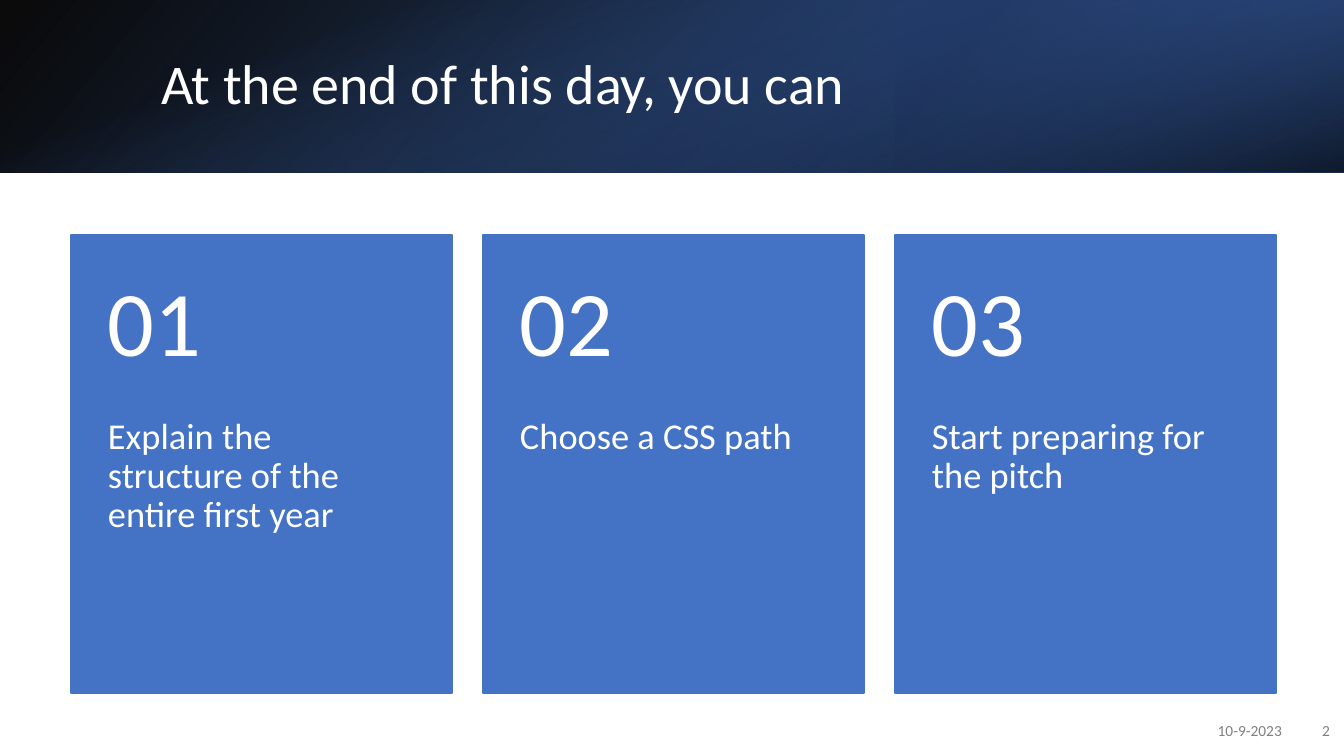
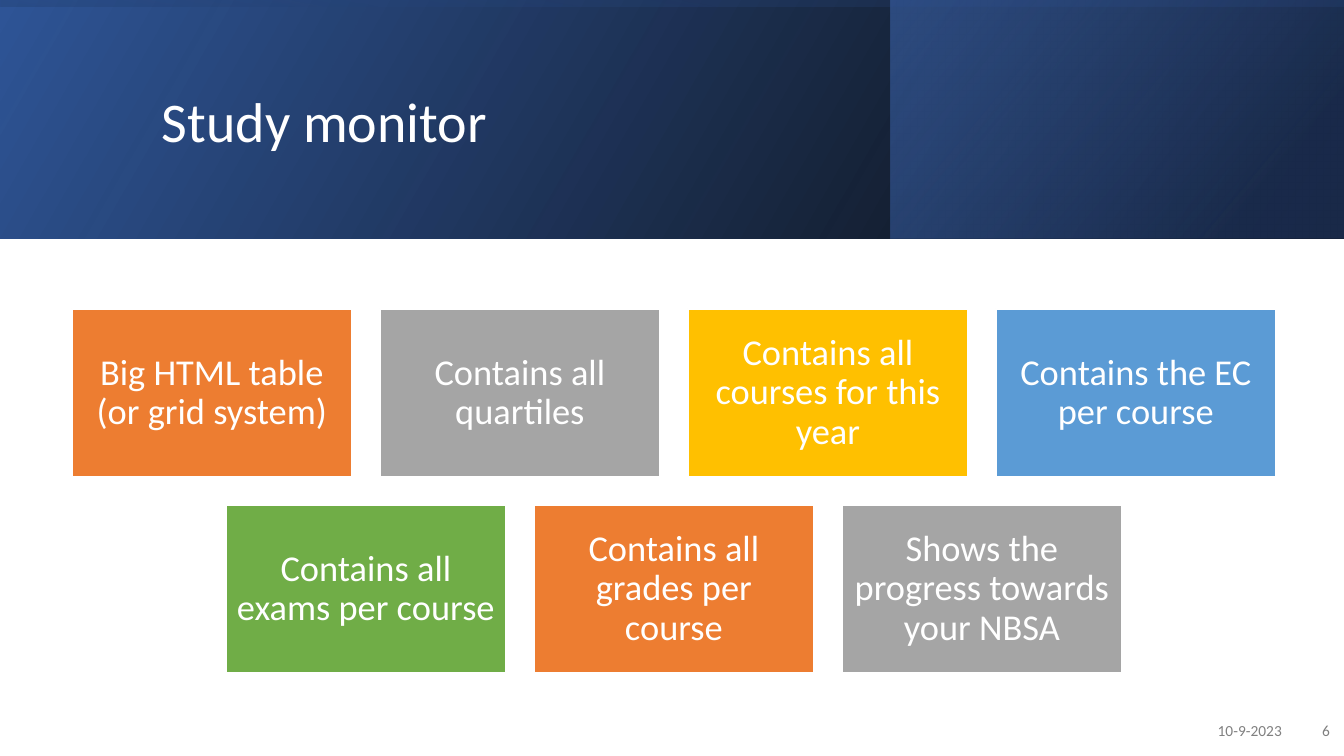
import pptx
import pptx.util
import pptx.dml.color
import pptx.enum.shapes
import pptx.enum.text
import pptx.oxml.ns
import lxml.etree

Align = pptx.enum.text.PP_ALIGN
Anchor = pptx.enum.text.MSO_ANCHOR
WIDE, HIGH = 1344, 756


def px(n):
    return pptx.util.Emu(round(n * 914400 / 100.8))


def color(code):
    return pptx.dml.color.RGBColor.from_string(code)


class Deck:
    """Holds the shared style and the slide being built."""

    FONT = "Calibri"
    WHITE, GRAY = "FFFFFF", "808080"
    DATE = "10-9-2023"

    def __init__(self):
        self.show = pptx.Presentation()
        self.show.slide_width, self.show.slide_height = px(WIDE), px(HIGH)
        self.slide = None

    def start(self, title, page, band, veils, box):
        self.slide = self.show.slides.add_slide(self.show.slide_layouts[5])
        for veil in veils:
            self.veil(band, *veil)
        self.title(title, box)
        self.text(self.DATE, (989, 712, 303, 40), 11, self.GRAY, Align.RIGHT)
        self.text(page, (1290, 712, 50, 40), 11, self.GRAY, Align.RIGHT)

    def letter(self, shape, text, size, tint, align, anchor, pad):
        frame = shape.text_frame
        frame.text = text
        frame.word_wrap = True
        frame.auto_size = pptx.enum.text.MSO_AUTO_SIZE.NONE
        frame.vertical_anchor = anchor
        frame.margin_left = frame.margin_right = px(pad[0])
        frame.margin_top, frame.margin_bottom = px(pad[1]), px(pad[2])
        line = frame.paragraphs[0]
        line.alignment = align
        line.line_spacing = 0.9
        font = line.runs[0].font
        font.name, font.size = self.FONT, pptx.util.Pt(size)
        font.color.rgb = color(tint)

    def title(self, text, box):
        shape = self.slide.shapes.title
        shape.element.getparent().append(shape.element)
        shape.left, shape.top, shape.width, shape.height = map(px, box)
        self.letter(shape, text, 40, self.WHITE, Align.LEFT, Anchor.MIDDLE, (10, 5, 5))

    def text(self, text, box, size, tint, align=Align.LEFT, anchor=Anchor.MIDDLE, pad=(10, 5, 5)):
        shape = self.slide.shapes.add_textbox(*map(px, box))
        self.letter(shape, text, size, tint, align, anchor, pad)

    def rect(self, box):
        kind = pptx.enum.shapes.MSO_SHAPE.RECTANGLE
        shape = self.slide.shapes.add_shape(kind, *map(px, box))
        shape.shadow.inherit = False
        return shape

    def tile(self, box, fill, edge):
        shape = self.rect(box)
        shape.fill.solid()
        shape.fill.fore_color.rgb = color(fill)
        shape.line.color.rgb = color(edge)
        shape.line.width = pptx.util.Pt(1)
        return shape

    def veil(self, high, left, turn, flip, angle, stops):
        wide = WIDE - left
        box = (left, 0, wide, high)
        if turn % 180:
            box = (left + (wide - high) / 2, (high - wide) / 2, high, wide)
        shape = self.rect(box)
        shape.rotation = turn
        shape.line.fill.background()
        if flip:
            shape.element.spPr.xfrm.set("flipH", "1")
        shape.fill.gradient()
        shape.fill.gradient_angle = 360 - angle
        for stop, (place, tint, _) in zip(shape.fill.gradient_stops, stops):
            stop.position = place / 100
            stop.color.rgb = color(tint)
        qn = pptx.oxml.ns.qn
        nodes = list(shape.element.spPr.iter(qn("a:srgbClr")))
        for node, (_, _, alpha) in zip(nodes, stops):
            lxml.etree.SubElement(node, qn("a:alpha")).set("val", str(alpha * 1000))

    def card(self, box, mark, text):
        left, top, wide, high = box
        head = 183
        self.tile(box, "4472C4", "4472C4")
        self.text(text, (left, top + head, wide, high - head), 26, self.WHITE,
                  anchor=Anchor.TOP, pad=(37, 0, 36))
        self.text(mark, (left, top, wide, head), 66, self.WHITE, pad=(37, 18, 18))

    def label(self, box, text, fill):
        shape = self.tile(box, fill, self.WHITE)
        self.letter(shape, text, 26, self.WHITE, Align.CENTER, Anchor.MIDDLE, (10, 11, 11))


def goals(deck):
    veils = [
        (0, 0, True, 140, [(0, "000000", 96), (100, "2F5597", 100)]),
        (896, 180, True, 320, [(19, "203864", 68), (100, "4472C4", 79)]),
        (0, 90, False, 340, [(23, "4472C4", 0), (99, "000000", 74)]),
    ]
    deck.start("At the end of this day, you can", "2", 173, veils, (151, 38, 1107, 97))
    texts = ["Explain the structure of the entire first year",
             "Choose a CSS path", "Start preparing for the pitch"]
    for i, text in enumerate(texts):
        deck.card((71 + i * 412, 235, 381, 458), f"{i + 1:02}", text)


def study(deck):
    veils = [
        (0, 0, True, 330, [(0, "000000", 96), (100, "2F5597", 100)]),
        (891, 0, True, 320, [(19, "203864", 68), (100, "4472C4", 48)]),
        (0, 270, True, 350, [(23, "2F5597", 16), (99, "000000", 45)]),
    ]
    deck.start("Study monitor", "6", 239, veils, (152, 38, 1072, 173))
    rows = [
        [("Big HTML table (or grid system)", "ED7D31"),
         ("Contains all quartiles", "A5A5A5"),
         ("Contains all courses for this year", "FFC000"),
         ("Contains the EC per course", "5B9BD5")],
        [("Contains all exams per course", "70AD47"),
         ("Contains all grades per course", "ED7D31"),
         ("Shows the progress towards your NBSA", "A5A5A5")],
    ]
    wide, high, gap = 280, 168, 28
    step = wide + gap
    for r, row in enumerate(rows):
        left = 72 + (4 - len(row)) * step // 2
        for c, (text, fill) in enumerate(row):
            deck.label((left + c * step, 309 + r * (high + gap), wide, high), text, fill)


def main():
    deck = Deck()
    goals(deck)
    study(deck)
    deck.show.save("out.pptx")


if __name__ == "__main__":
    main()
